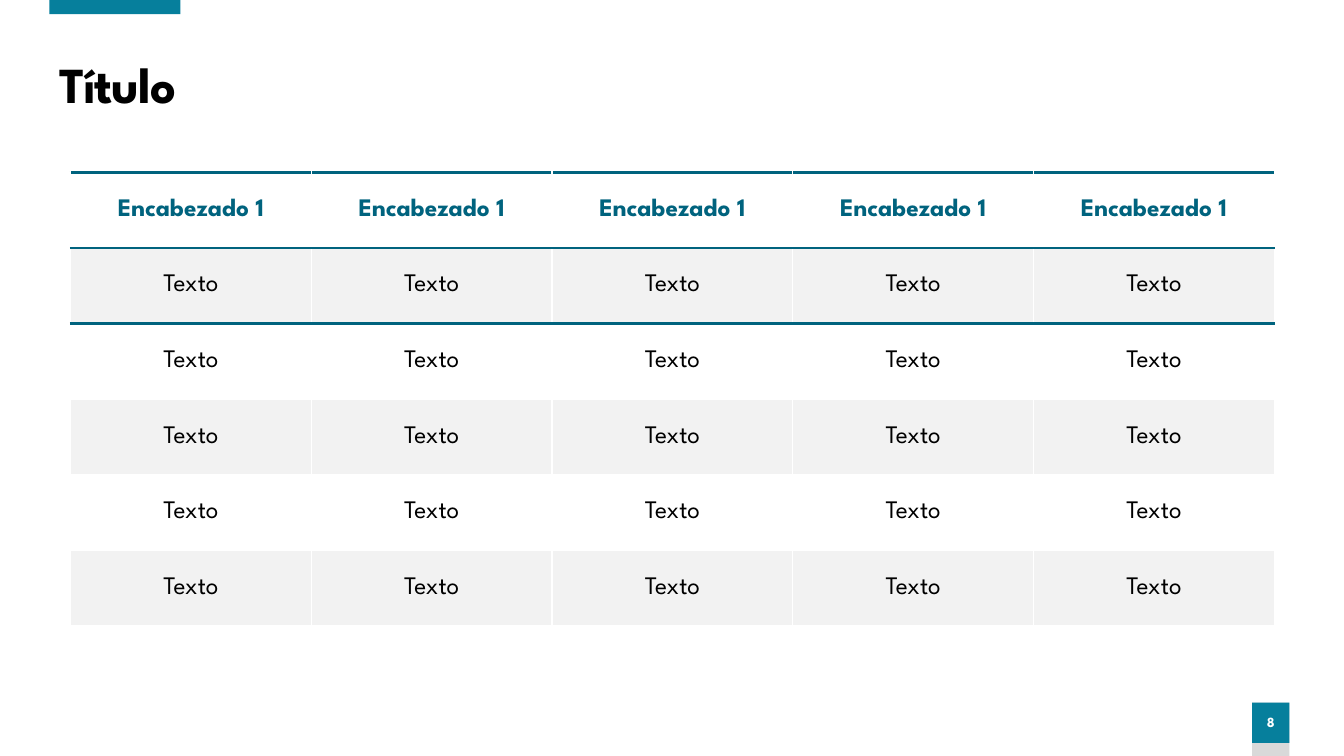
from dataclasses import dataclass
from lxml.etree import SubElement
from pptx import Presentation
from pptx.dml.color import RGBColor
from pptx.enum.shapes import MSO_SHAPE
from pptx.enum.text import MSO_ANCHOR, PP_ALIGN
from pptx.oxml.ns import qn
from pptx.util import Inches, Pt


@dataclass(frozen=True)
class Theme:
    font: str = "League Spartan"
    accent: str = "067F9C"
    heading: str = "00637E"
    text: str = "000000"
    white: str = "FFFFFF"
    band: str = "F2F2F2"
    gray: str = "D9D9D9"
    title_size: int = 36
    table_size: int = 18
    number_size: int = 10


theme = Theme()


def write(frame, text, size, color, bold, align):
    """Fill a text frame with one formatted, vertically centred paragraph."""
    frame.word_wrap = True
    frame.vertical_anchor = MSO_ANCHOR.MIDDLE
    paragraph = frame.paragraphs[0]
    paragraph.alignment = align
    run = paragraph.add_run()
    run.text = text
    formats = {"name": theme.font, "size": Pt(size), "bold": bold}
    for name, value in formats.items():
        setattr(run.font, name, value)
    run.font.color.rgb = RGBColor.from_string(color)
    return paragraph


def add_border(cell, side, color, width):
    line = SubElement(cell._tc.get_or_add_tcPr(), qn(f"a:ln{side}"), w=str(Pt(width)))
    fill = SubElement(line, qn("a:solidFill"))
    SubElement(fill, qn("a:srgbClr"), val=color)


presentation = Presentation()
presentation.slide_width = Inches(13.33)
presentation.slide_height = Inches(7.5)
slide = presentation.slides.add_slide(presentation.slide_layouts[6])

# Page number blocks and the top accent bar
blocks = [
    (12.42, 6.97, 0.37, 0.53, theme.gray, ""),
    (12.42, 6.97, 0.37, 0.4, theme.accent, "8"),
    (0.49, 0, 1.3, 0.14, theme.accent, ""),
]
for left, top, width, height, color, label in blocks:
    shape = slide.shapes.add_shape(
        MSO_SHAPE.RECTANGLE, Inches(left), Inches(top), Inches(width), Inches(height)
    )
    shape.shadow.inherit = False
    shape.fill.solid()
    shape.fill.fore_color.rgb = RGBColor.from_string(color)
    shape.line.fill.background()
    if label:
        shape.text_frame.margin_left = shape.text_frame.margin_right = 0
        number = write(
            shape.text_frame, label, theme.number_size, theme.white, True, PP_ALIGN.CENTER
        )
        number.line_spacing = 0.9
        number.space_before = Pt(10)

# Title
title_box = slide.shapes.add_textbox(Inches(0.49), Inches(0.27), Inches(12.22), Inches(1.19))
title = write(
    title_box.text_frame, "Título", theme.title_size, theme.text, True, PP_ALIGN.LEFT
)
title.line_spacing = 0.9
title.runs[0].font._element.set("spc", "-60")

# Table: rules above and below the header and below the first body row
row_count, column_count = 6, 5
ruled_edges = (0, 1, 2)
table = slide.shapes.add_table(
    row_count, column_count, Inches(0.7), Inches(1.71), Inches(11.94), Inches(4.5)
).table
table.horz_banding = False

for row in range(row_count):
    is_header = row == 0
    for column in range(column_count):
        cell = table.cell(row, column)
        cell.vertical_anchor = MSO_ANCHOR.MIDDLE
        write(
            cell.text_frame,
            "Encabezado 1" if is_header else "Texto",
            theme.table_size,
            theme.heading if is_header else theme.text,
            is_header,
            PP_ALIGN.CENTER,
        )
        for side in "LR":
            add_border(cell, side, theme.white, 1)
        for side, edge in (("T", row), ("B", row + 1)):
            if edge in ruled_edges:
                add_border(cell, side, theme.heading, 2.25)
            else:
                add_border(cell, side, theme.white, 1)
        if row % 2:
            cell.fill.solid()
            cell.fill.fore_color.rgb = RGBColor.from_string(theme.band)
        else:
            cell.fill.background()

presentation.save("out.pptx")
